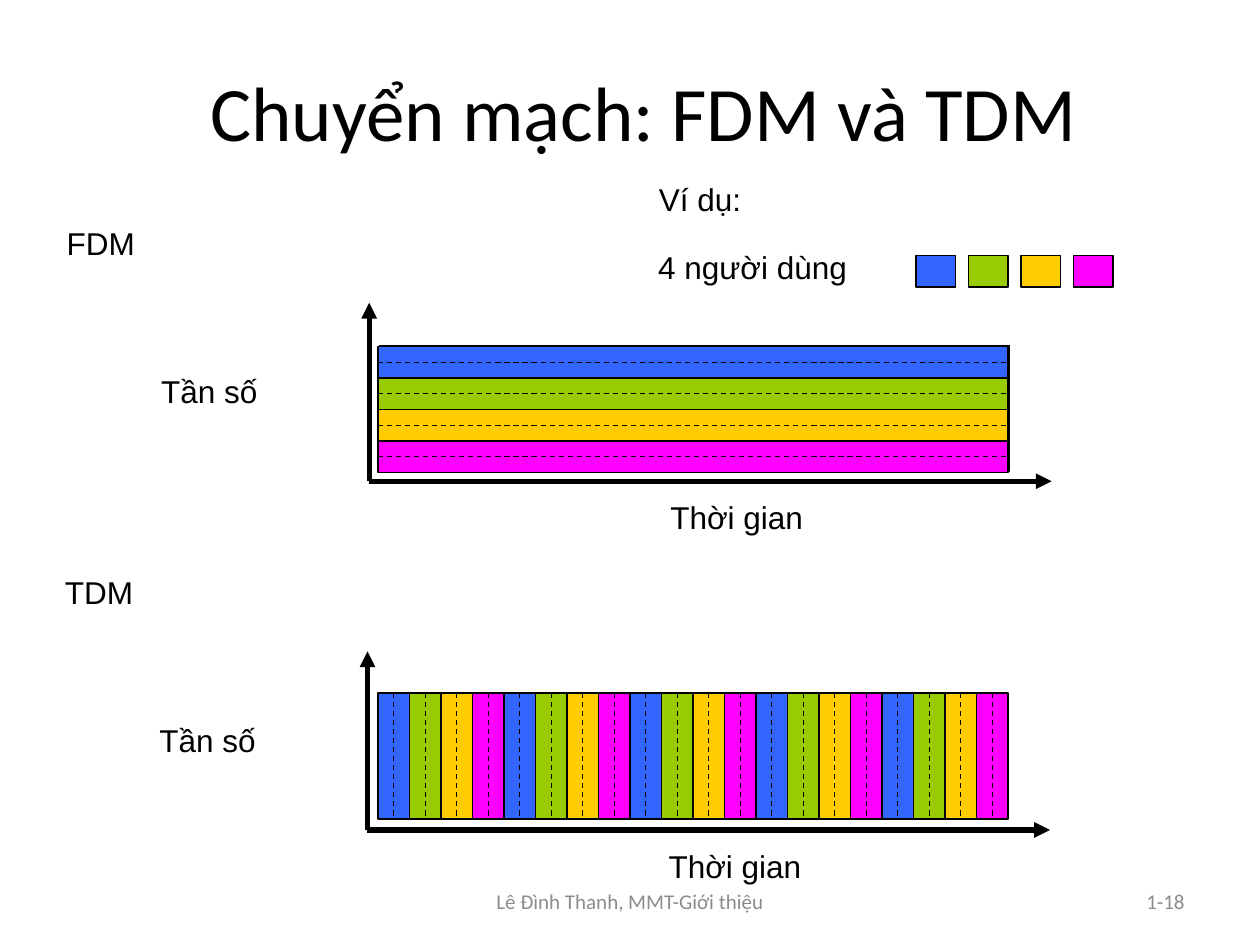
"""Slide comparing FDM and TDM channel sharing among four users."""
from lxml import etree
from pptx import Presentation
from pptx.dml.color import RGBColor
from pptx.enum.dml import MSO_LINE
from pptx.enum.shapes import MSO_CONNECTOR, MSO_SHAPE
from pptx.enum.text import MSO_ANCHOR, PP_ALIGN
from pptx.oxml.ns import qn
from pptx.util import Pt

STRAIGHT = MSO_CONNECTOR.STRAIGHT
RECT = MSO_SHAPE.RECTANGLE
DASH = MSO_LINE.DASH
TOP, MIDDLE = MSO_ANCHOR.TOP, MSO_ANCHOR.MIDDLE
LEFT, CENTER, RIGHT = PP_ALIGN.LEFT, PP_ALIGN.CENTER, PP_ALIGN.RIGHT
BLACK = RGBColor(0x00, 0x00, 0x00)
GRAY = RGBColor(0x8C, 0x8C, 0x8C)
BASE = RGBColor(0x4F, 0x81, 0xBD)
USERS = [
    RGBColor(0x33, 0x66, 0xFF),
    RGBColor(0x99, 0xCC, 0x00),
    RGBColor(0xFF, 0xCC, 0x00),
    RGBColor(0xFF, 0x00, 0xFF),
]

prs = Presentation()
prs.slide_width, prs.slide_height = Pt(720), Pt(540)
s = prs.slides.add_slide(prs.slide_layouts[6])


def add_text(text, x, y, w, h, size=18, font="Arial", color=BLACK, align=LEFT, anchor=TOP):
    tf = s.shapes.add_textbox(Pt(x), Pt(y), Pt(w), Pt(h)).text_frame
    tf.word_wrap = True
    tf.vertical_anchor = anchor
    p = tf.paragraphs[0]
    p.alignment = align
    r = p.add_run()
    r.text = text
    r.font.size = Pt(size)
    r.font.name = font
    r.font.color.rgb = color


def add_line(x1, y1, x2, y2, width=0.75, dashed=False, arrow=False):
    cx = s.shapes.add_connector(STRAIGHT, Pt(x1), Pt(y1), Pt(x2), Pt(y2))
    cx.line.color.rgb = BLACK
    cx.line.width = Pt(width)
    if dashed:
        cx.line.dash_style = DASH
    if arrow:
        etree.SubElement(cx.line._get_or_add_ln(), qn("a:tailEnd"), type="triangle")
    etree.SubElement(cx._element.spPr, qn("a:effectLst"))


add_text("Lê Đình Thanh, MMT-Giới thiệu", 246, 500.5, 228, 28.75, 12, "Calibri", GRAY, CENTER, MIDDLE)
add_text("1-18", 516, 500.5, 168, 28.75, 12, "Calibri", GRAY, RIGHT, MIDDLE)
add_text("Chuyển mạch: FDM và TDM", 34.5, 18, 667, 90, 44, "Calibri", BLACK, CENTER, MIDDLE)
add_text("Ví dụ:", 369.5, 99.5, 78, 36.5)
add_text("4 người dùng", 369, 138, 200, 36.5)

for name, x, y in [("FDM", 211, 275), ("TDM", 210, 474.25)]:
    add_text(name, x - 180, y - 150.5, 66, 36)
    add_text("Tần số", x - 126, y - 66, 89, 36.5)
    add_text("Thời gian", x + 165, y + 6, 117, 36.5)
    add_line(x, y, x, y - 102, 3, arrow=True)
    add_line(x, y, x + 390, y, 3, arrow=True)

left, fdm_top, tdm_top = 216, 198, 396
width, height, slot = 360, 72, 18
bands = height // slot
slots = width // slot

blocks = [(left + 0.75, fdm_top - 0.75, width, height, BASE)]
for i, color in enumerate(USERS):
    blocks.append((left, fdm_top + i * slot, width, slot, color))
    blocks.append((523.5 + i * 30, 146, 22.5, 18, color))
for i in range(slots):
    blocks.append((left + i * slot, tdm_top, slot, height, USERS[i % len(USERS)]))

for x, y, w, h, color in blocks:
    sp = s.shapes.add_shape(RECT, Pt(x), Pt(y), Pt(w), Pt(h))
    sp.shadow.inherit = False
    sp.fill.solid()
    sp.fill.fore_color.rgb = color
    sp.line.color.rgb = BLACK
    sp.line.width = Pt(0.75)

for i in range(1, 2 * bands):
    y = fdm_top + i * slot / 2
    add_line(left, y, left + width, y, dashed=i % 2 == 1)
for i in range(1, 2 * slots):
    x = left + i * slot / 2
    add_line(x, tdm_top, x, tdm_top + height, dashed=i % 2 == 1)

prs.save("out.pptx")
